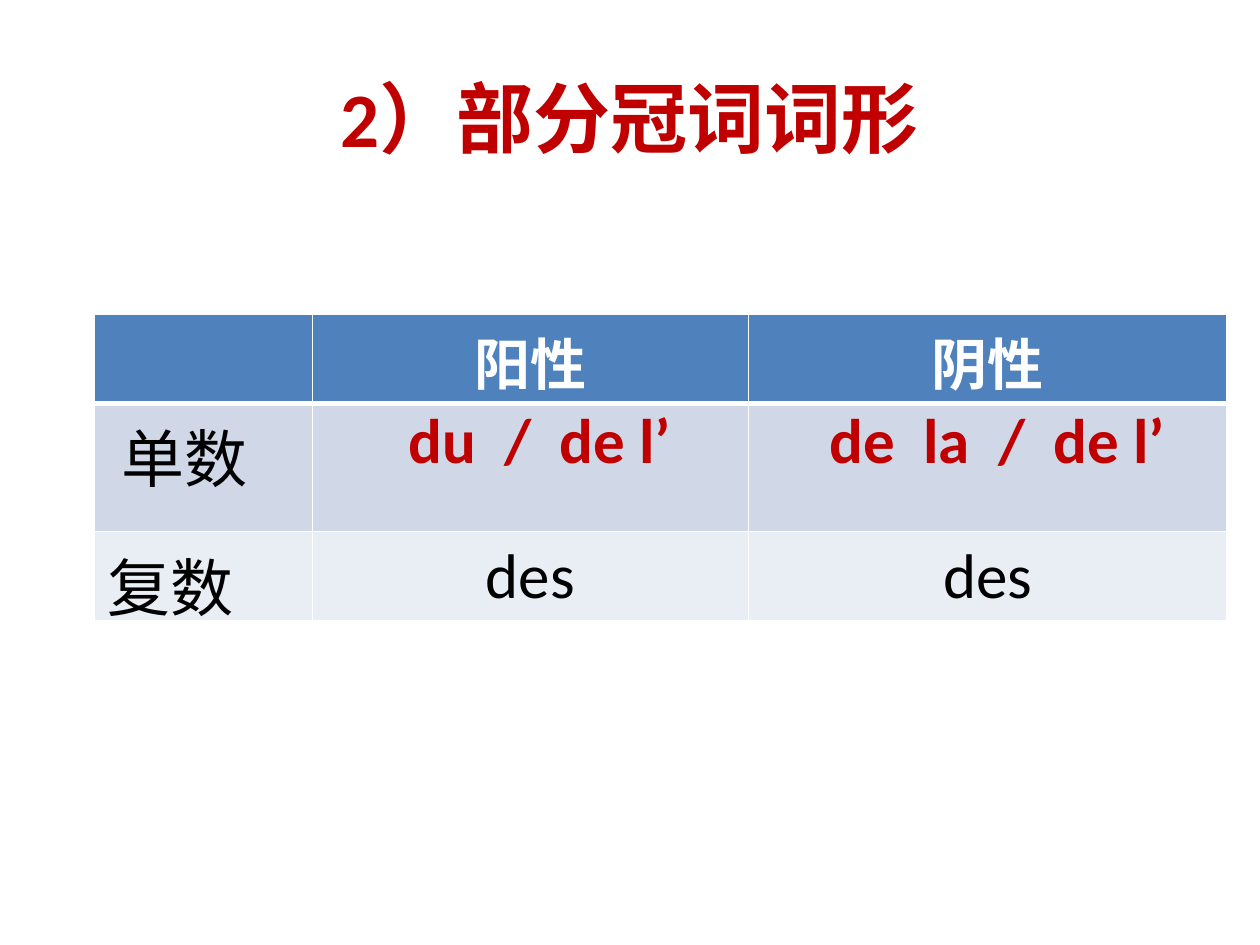
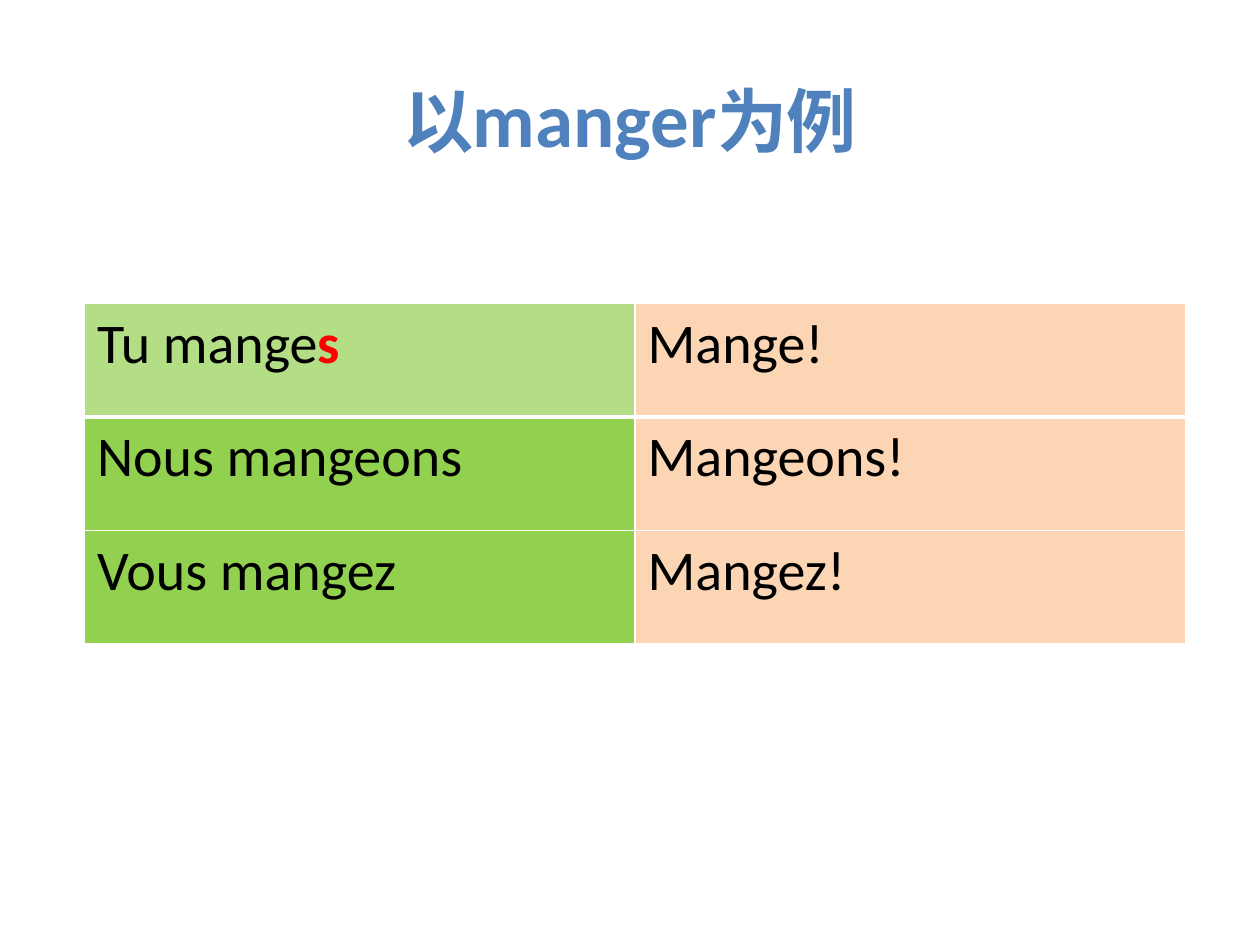
from dataclasses import dataclass
from typing import Optional

from lxml.etree import SubElement
from pptx import Presentation
from pptx.dml.color import RGBColor
from pptx.enum.text import MSO_ANCHOR, PP_ALIGN
from pptx.oxml.ns import qn
from pptx.util import Inches, Pt

COLUMNS, ROWS = 100, 75
SLIDE_WIDTH, SLIDE_HEIGHT = Inches(10), Inches(7.5)


@dataclass(frozen=True)
class Theme:
    font: str = "Calibri"
    white: str = "FFFFFF"
    black: str = "000000"
    crimson: str = "C00000"
    red: str = "FF0000"
    blue: str = "4F81BD"
    band_dark: str = "D0D8E8"
    band_light: str = "E9EDF4"
    green: str = "92D050"
    peach: str = "FCD5B5"
    title_size: int = 44
    title_small: int = 40
    form_size: int = 36
    body_size: int = 32
    thin_rule: int = 1
    header_rule: int = 3
    word_gap: int = 8


THEME = Theme()


@dataclass(frozen=True)
class Piece:
    text: str
    size: int
    color: str = THEME.black
    bold: bool = False
    spacing: int = 0


@dataclass(frozen=True)
class Entry:
    pieces: tuple[Piece, ...]
    fill: str
    centered: bool = False
    opacity: int = 100
    side_margin: float = 1
    top_margin: float = 0.5
    indent: float = 0


@dataclass(frozen=True)
class Grid:
    left: float
    top: float
    columns: tuple[float, ...]
    rows: tuple[float, ...]
    entries: tuple[tuple[Entry, ...], ...]


def across(columns: float) -> int:
    return round(SLIDE_WIDTH * columns / COLUMNS)


def down(rows: float) -> int:
    return round(SLIDE_HEIGHT * rows / ROWS)


def write(paragraph, pieces: tuple[Piece, ...]) -> None:
    for piece in pieces:
        run = paragraph.add_run()
        run.text = piece.text
        run.font.name = THEME.font
        run.font.size = Pt(piece.size)
        run.font.bold = piece.bold
        run.font.color.rgb = RGBColor.from_string(piece.color)
        if piece.spacing:
            run._r.get_or_add_rPr().set("spc", str(piece.spacing * 100))


def add_title(slide, *pieces: Piece) -> None:
    title = slide.shapes.add_textbox(across(5), down(3), across(90), down(12.5))
    frame = title.text_frame
    frame.word_wrap = True
    frame.vertical_anchor = MSO_ANCHOR.MIDDLE
    paragraph = frame.paragraphs[0]
    paragraph.alignment = PP_ALIGN.CENTER
    write(paragraph, pieces)


def add_borders(cell, row: int) -> None:
    properties = cell._tc.get_or_add_tcPr()
    heavy_side = {0: "lnB", 1: "lnT"}.get(row)
    for side in ("lnL", "lnR", "lnT", "lnB"):
        width = THEME.header_rule if side == heavy_side else THEME.thin_rule
        line = SubElement(properties, qn(f"a:{side}"), w=str(Pt(width)))
        paint = SubElement(line, qn("a:solidFill"))
        SubElement(paint, qn("a:srgbClr"), val=THEME.white)


def fill_cell(cell, entry: Entry, row: int) -> None:
    add_borders(cell, row)
    cell.fill.solid()
    cell.fill.fore_color.rgb = RGBColor.from_string(entry.fill)
    if entry.opacity < 100:
        color = cell._tc.tcPr.find(f"{qn('a:solidFill')}/{qn('a:srgbClr')}")
        SubElement(color, qn("a:alpha"), val=str(entry.opacity * 1000))
    cell.margin_left = cell.margin_right = across(entry.side_margin)
    cell.margin_top = cell.margin_bottom = down(entry.top_margin)
    paragraph = cell.text_frame.paragraphs[0]
    paragraph.alignment = PP_ALIGN.CENTER if entry.centered else PP_ALIGN.LEFT
    if entry.indent:
        paragraph._p.get_or_add_pPr().set("indent", str(across(entry.indent)))
    write(paragraph, entry.pieces)


def add_grid(slide, grid: Grid) -> None:
    table = slide.shapes.add_table(
        len(grid.rows), len(grid.columns), across(grid.left), down(grid.top),
        across(sum(grid.columns)), down(sum(grid.rows)),
    ).table
    table.first_row = table.horz_banding = False
    for column, width in zip(table.columns, grid.columns):
        column.width = across(width)
    for row, height in zip(table.rows, grid.rows):
        row.height = down(height)
    for row, entries in enumerate(grid.entries):
        for column, entry in enumerate(entries):
            fill_cell(table.cell(row, column), entry, row)


def heading(text: str) -> Entry:
    return Entry((Piece(text, THEME.body_size, THEME.white, True),), THEME.blue, True)


def number_label(text: str, fill: str, indent: float = 0) -> Entry:
    return Entry((Piece(text, THEME.form_size),), fill, indent=indent)


def singular(*words: str) -> Entry:
    gap = Piece(" ", THEME.form_size, THEME.crimson, True, THEME.word_gap)
    pieces = []
    for word in words:
        if pieces:
            pieces.append(gap)
        pieces.append(Piece(word, THEME.form_size, THEME.crimson, True))
    return Entry(tuple(pieces), THEME.band_dark, True,
                 side_margin=0.7, top_margin=0, indent=1.5)


def plural(text: str) -> Entry:
    return Entry((Piece(text, THEME.form_size),), THEME.band_light, True)


def verb(text: str, fill: str, ending: Optional[str] = None, opacity: int = 100) -> Entry:
    pieces = (Piece(text, THEME.body_size),)
    if ending:
        pieces += (Piece(ending, THEME.body_size, THEME.red, True),)
    return Entry(pieces, fill, opacity=opacity)


ARTICLES = Grid(7.5, 24.9, (17.3, 34.6, 38), (7.1, 10.2, 7.1), (
    (Entry((), THEME.blue), heading("阳性"), heading("阴性")),
    (number_label("单数", THEME.band_dark, 1.15),
     singular("du", "/", "de l’"), singular("de", "la", "/", "de l’")),
    (number_label("复数", THEME.band_light), plural("des"), plural("des")),
))

IMPERATIVE = Grid(6.7, 24.1, (43.7,) * 2, (9,) * 3, (
    (verb("Tu mange", THEME.green, "s", 69), verb("Mange!", THEME.peach)),
    (verb("Nous mangeons", THEME.green), verb("Mangeons!", THEME.peach)),
    (verb("Vous mangez", THEME.green), verb("Mangez!", THEME.peach)),
))


def main() -> None:
    deck = Presentation()
    deck.slide_width, deck.slide_height = SLIDE_WIDTH, SLIDE_HEIGHT
    blank = deck.slide_layouts[6]

    articles = deck.slides.add_slide(blank)
    add_title(articles, Piece("2）部分冠词词形", THEME.title_size, THEME.crimson, True))
    add_grid(articles, ARTICLES)

    imperative = deck.slides.add_slide(blank)
    add_title(
        imperative,
        Piece("以", THEME.title_small, THEME.blue, True),
        Piece("manger", THEME.title_size, THEME.blue, True),
        Piece("为例", THEME.title_small, THEME.blue, True),
    )
    add_grid(imperative, IMPERATIVE)

    deck.save("out.pptx")


if __name__ == "__main__":
    main()
